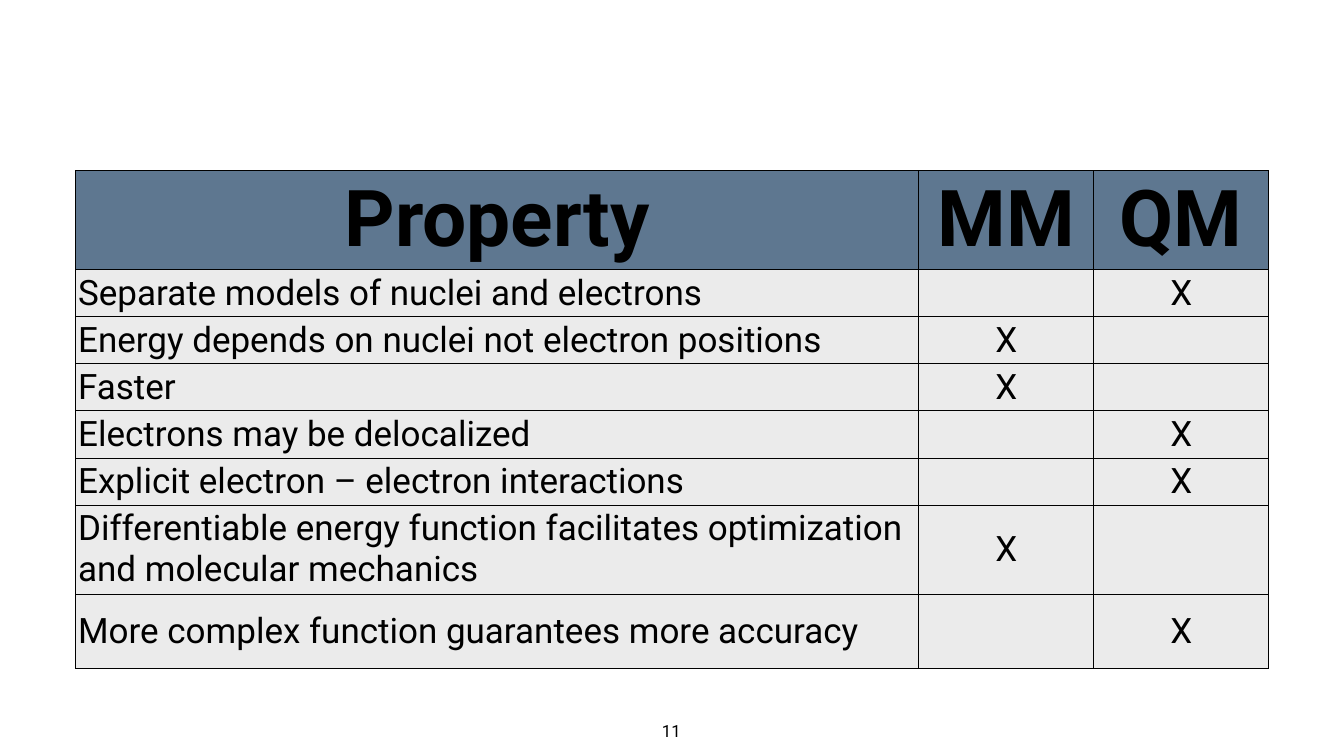
from lxml.etree import SubElement
from pptx import Presentation
from pptx.dml.color import RGBColor
from pptx.enum.text import MSO_ANCHOR, PP_ALIGN
from pptx.oxml.ns import qn
from pptx.util import Pt

FONT = "Roboto"
BLACK, BLUE, GREY = "000000", "5E7790", "EBEBEB"
HEAD = ("Property", "MM", "QM")
ROWS = [
    ("Separate models of nuclei and electrons", "QM"),
    ("Energy depends on nuclei not electron positions", "MM"),
    ("Faster", "MM"),
    ("Electrons may be delocalized", "QM"),
    ("Explicit electron – electron interactions", "QM"),
    ("Differentiable energy function facilitates optimization "
     "and molecular mechanics", "MM"),
    ("More complex function guarantees more accuracy", "QM"),
]
WIDTHS = (1204.5, 250, 250)
HEIGHTS = (117.5, *[56.2] * 5, 106, 106)


def color(code):
    return RGBColor.from_string(code)


def write(frame, text, size, align, bold=False):
    par = frame.paragraphs[0]
    par.text = text
    par.alignment = align
    font = par.font
    font.name, font.size, font.bold = FONT, Pt(size), bold
    font.color.rgb = color(BLACK)


def border(cell, code, width):
    props = cell._tc.get_or_add_tcPr()
    for side in ("lnL", "lnR", "lnT", "lnB"):
        line = SubElement(props, qn(f"a:{side}"), w=str(Pt(width)))
        fill = SubElement(line, qn("a:solidFill"))
        SubElement(fill, qn("a:srgbClr"), val=code)


def add_cell(cell, text, size, align, back, bold=False):
    border(cell, BLACK, 1)
    cell.fill.solid()
    cell.fill.fore_color.rgb = color(back)
    cell.vertical_anchor = MSO_ANCHOR.MIDDLE
    cell.margin_left = cell.margin_right = Pt(3.6)
    cell.margin_top = cell.margin_bottom = Pt(3.6)
    if text:
        write(cell.text_frame, text, size, align, bold)


def add_grid(slide, left, top, width, height):
    table = slide.shapes.add_table(
        len(HEIGHTS), len(WIDTHS), Pt(left), Pt(top), Pt(width), Pt(height)
    ).table
    table.horz_banding = False
    for col, size in zip(table.columns, WIDTHS):
        col.width = Pt(size)
    for row, size in zip(table.rows, HEIGHTS):
        row.height = Pt(size)

    # Header row
    for col, label in enumerate(HEAD):
        add_cell(table.cell(0, col), label, 112, PP_ALIGN.CENTER, BLUE, True)

    # One property per row, with an X under the method that has it
    for row, (label, method) in enumerate(ROWS, 1):
        add_cell(table.cell(row, 0), label, 50, PP_ALIGN.LEFT, GREY)
        for col, name in enumerate(HEAD[1:], 1):
            mark = "X" if name == method else ""
            add_cell(table.cell(row, col), mark, 50, PP_ALIGN.CENTER, GREY)


def add_number(slide, left, top, width, height):
    box = slide.shapes.add_textbox(Pt(left), Pt(top), Pt(width), Pt(height))
    frame = box.text_frame
    frame.word_wrap = False
    frame.margin_left = frame.margin_right = Pt(5.6)
    frame.margin_top = frame.margin_bottom = Pt(5.6)
    write(frame, "11", 24, PP_ALIGN.CENTER)


def main():
    deck = Presentation()
    deck.slide_width, deck.slide_height = Pt(1920), Pt(1080)
    slide = deck.slides.add_slide(deck.slide_layouts[6])
    add_number(slide, 939.6, 1024.5, 39, 40)
    add_grid(slide, 108, 243.5, sum(WIDTHS), sum(HEIGHTS))
    deck.save("out.pptx")


if __name__ == "__main__":
    main()
